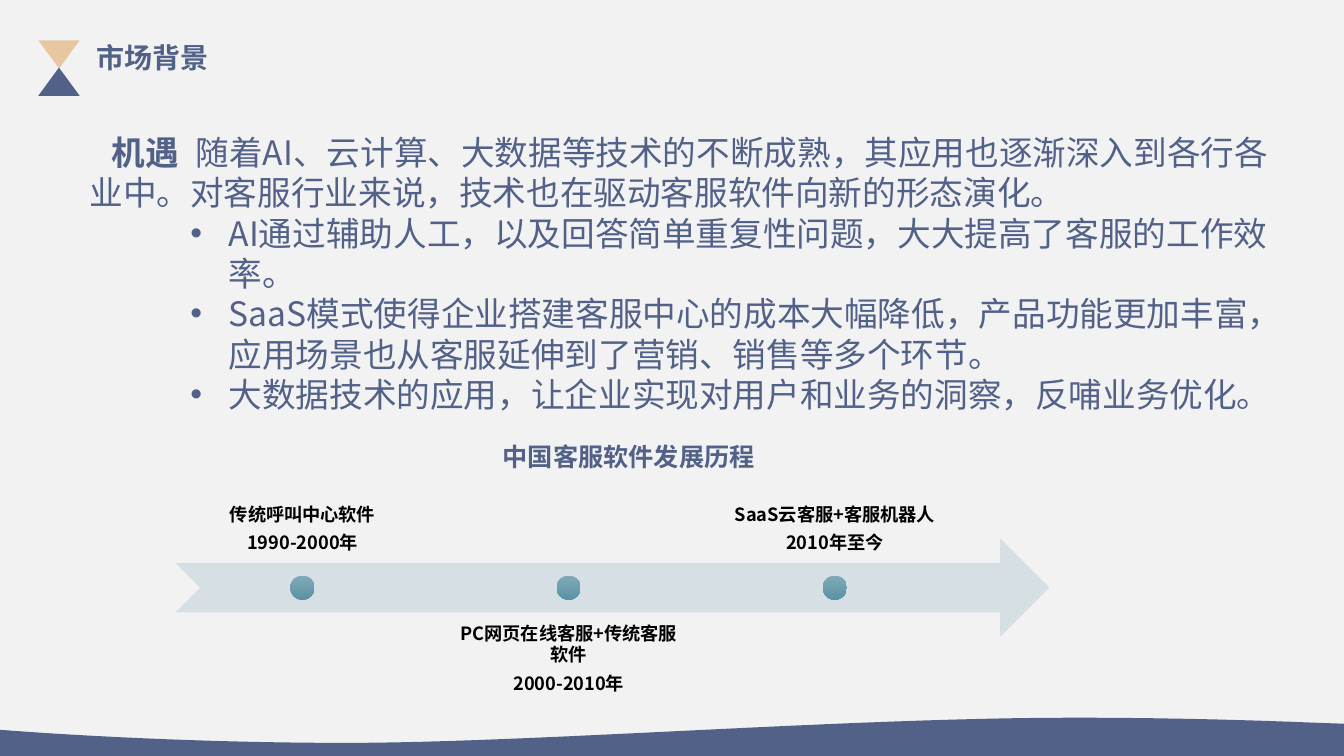
from lxml.etree import SubElement
from pptx import Presentation
from pptx.dml.color import RGBColor
from pptx.enum.shapes import MSO_SHAPE as Shape
from pptx.enum.text import MSO_ANCHOR as Anchor, PP_ALIGN as Align
from pptx.oxml.ns import qn
from pptx.util import Inches, Pt

COLORS = {
    "background": "F2F2F2", "navy": "526188", "sand": "E7C7A0", "arrow": "D5DFE4",
    "dot_top": "80AAB9", "dot_bottom": "5B92A3", "black": "000000",
}
CJK = "Noto Sans CJK SC"
EN_SPACE = "\u2002"


def rgb(name):
    return RGBColor.from_string(COLORS[name])


def write(paragraph, text, *, size, color="navy", bold=False, font=CJK):
    run = paragraph.add_run()
    run.text = text
    run.font.size, run.font.bold, run.font.name = Pt(size), bold, font
    run.font.color.rgb = rgb(color)
    SubElement(run.font._element, qn("a:ea"), typeface=CJK)
    paragraph.line_spacing = Pt(size * 1.2)


def indent(paragraph, left, first, bullet=None):
    props = paragraph._p.get_or_add_pPr()
    props.set("marL", str(Inches(left)))
    props.set("indent", str(Inches(first)))
    if bullet:
        SubElement(props, qn("a:buFont"), typeface="Arial")
        SubElement(props, qn("a:buChar"), char=bullet)


def bezier(start, c1, c2, end, steps=24):
    for step in range(1, steps + 1):
        t = step / steps
        weights = ((1 - t) ** 3, 3 * t * (1 - t) ** 2, 3 * t * t * (1 - t), t ** 3)
        yield tuple(sum(w * p[axis] for w, p in zip(weights, (start, c1, c2, end)))
                    for axis in (0, 1))


class SlideBuilder:
    def __init__(self, slide):
        self.slide = slide
        slide.background.fill.solid()
        slide.background.fill.fore_color.rgb = rgb("background")

    def finish(self, shape, color):
        shape.shadow.inherit = False
        shape.line.fill.background()
        shape.fill.solid()
        shape.fill.fore_color.rgb = rgb(color)
        return shape

    def shape(self, preset, left, top, width, height, color, rotation=0):
        shape = self.slide.shapes.add_shape(
            preset, Inches(left), Inches(top), Inches(width), Inches(height))
        shape.rotation = rotation
        return self.finish(shape, color)

    def dot(self, left, top, size):
        fill = self.shape(Shape.OVAL, left, top, size, size, "dot_top").fill
        fill.gradient()
        fill.gradient_angle = 270
        for stop, color in zip(fill.gradient_stops, ("dot_top", "dot_bottom")):
            stop.color.rgb = rgb(color)

    def outline(self, points, color):
        points = [(Inches(x), Inches(y)) for x, y in points]
        builder = self.slide.shapes.build_freeform(*points[0])
        builder.add_line_segments(points[1:], close=True)
        return self.finish(builder.convert_to_shape(), color)

    def frame(self, left, top, width, height, anchor=Anchor.TOP, inset=None):
        frame = self.slide.shapes.add_textbox(
            Inches(left), Inches(top), Inches(width), Inches(height)).text_frame
        frame.word_wrap = True
        frame.vertical_anchor = anchor
        if inset is not None:
            frame.margin_left = frame.margin_right = Inches(inset)
            frame.margin_top = frame.margin_bottom = Inches(inset)
        return frame

    def label(self, box, lines, align=Align.CENTER, gap=0, anchor=Anchor.TOP,
              inset=None, **style):
        frame = self.frame(*box, anchor, inset)
        for index, line in enumerate(lines):
            paragraph = frame.add_paragraph() if index else frame.paragraphs[0]
            paragraph.alignment = align
            paragraph.space_after = Pt(gap)
            write(paragraph, line, bold=True, **style)


deck = Presentation()
deck.slide_width, deck.slide_height = Inches(13.33), Inches(7.5)
page = SlideBuilder(deck.slides.add_slide(deck.slide_layouts[6]))

crest, trough, left_edge = (10.65, 7.12), (3.43, 7.37), (0, 7.24)
wave = [(13.33, 7.5), (13.33, 7.18), (13.04, 7.17),
        *bezier((13.04, 7.17), (12.32, 7.14), (11.49, 7.12), crest),
        *bezier(crest, (8.4, 7.12), (5.28, 7.37), trough),
        *bezier(trough, (1.57, 7.37), left_edge, left_edge),
        (0, 7.5)]
page.outline(wave, "navy")

page.shape(Shape.ISOSCELES_TRIANGLE, 0.38, 0.67, 0.41, 0.28, "navy")
page.shape(Shape.ISOSCELES_TRIANGLE, 0.38, 0.4, 0.41, 0.28, "sand", rotation=180)
page.label((0.86, 0.35, 1.79, 0.44), ["市场背景"], align=Align.JUSTIFY, size=20)

body = page.frame(0.79, 1.26, 11.9, 2.95)
opportunity = body.paragraphs[0]
indent(opportunity, 0, 0.22)
write(opportunity, "机遇" + EN_SPACE, size=24, bold=True)
write(opportunity, "随着AI、云计算、大数据等技术的不断成熟，其应用也逐渐深入到各行各业中。"
      "对客服行业来说，技术也在驱动客服软件向新的形态演化。", size=24)
drivers = [
    "AI通过辅助人工，以及回答简单重复性问题，大大提高了客服的工作效率。",
    "SaaS模式使得企业搭建客服中心的成本大幅降低，产品功能更加丰富，"
    "应用场景也从客服延伸到了营销、销售等多个环节。",
    "大数据技术的应用，让企业实现对用户和业务的洞察，反哺业务优化。",
]
for driver in drivers:
    item = body.add_paragraph()
    write(item, driver, size=24)
    indent(item, 1.38, -0.38, "•")

page.label((4.58, 4.33, 3.31, 0.4), ["中国客服软件发展历程"], size=18, font="Arial")
page.shape(Shape.NOTCHED_RIGHT_ARROW, 1.74, 5.34, 8.67, 0.98, "arrow")
ABOVE, BELOW = (4.61, Anchor.BOTTOM), (6.07, Anchor.TOP)
eras = [
    ("传统呼叫中心软件", "1990-2000年", ABOVE),
    ("PC网页在线客服+传统客服软件", "2000-2010年", BELOW),
    ("SaaS云客服+客服机器人", "2010年至今", ABOVE),
]
for index, (software, years, (top, anchor)) in enumerate(eras):
    left = 1.74 + index * 2.64
    page.label((left, top, 2.52, 0.98), [software, years], gap=4.55, anchor=anchor,
               inset=0.1, size=13, color="black")
    page.dot(left + 1.14, 5.71, 0.24)

deck.save("out.pptx")
